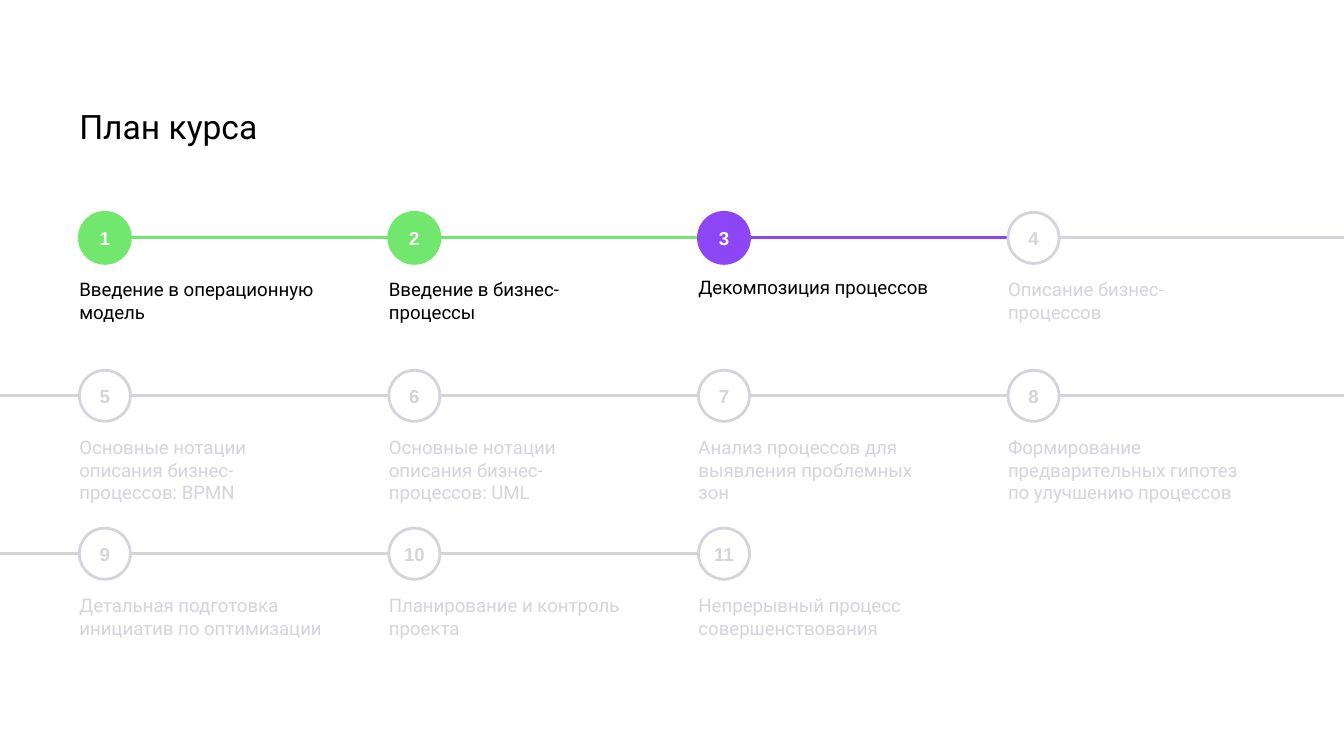
from dataclasses import dataclass

from lxml.etree import SubElement
from pptx import Presentation
from pptx.dml.color import RGBColor
from pptx.enum.shapes import MSO_CONNECTOR, MSO_SHAPE
from pptx.enum.text import MSO_ANCHOR, PP_ALIGN
from pptx.oxml.ns import qn
from pptx.util import Inches, Pt

BLACK, WHITE = "000000", "FFFFFF"
GREEN, PURPLE, GRAY = "71E76E", "8D46F6", "D4D4DD"
SLIDE_W = 10
SLIDE_H = SLIDE_W * 9 / 16
LEFT, RIGHT_COLUMN, COLUMNS = 0.59, 7.5, 4
COLUMN_STEP = (RIGHT_COLUMN - LEFT) / (COLUMNS - 1)
TOP, BOTTOM_ROW, ROWS = 1.58, 3.93, 3
ROW_STEP = (BOTTOM_ROW - TOP) / (ROWS - 1)
DIAMETER, LABEL_DROP = 0.38, 0.39


@dataclass(frozen=True)
class Status:
    fill: str
    line: str
    number: str
    label: str


@dataclass(frozen=True)
class Step:
    title: str
    status: Status


DONE = Status(GREEN, GREEN, WHITE, BLACK)
CURRENT = Status(PURPLE, PURPLE, WHITE, BLACK)
PLANNED = Status(WHITE, GRAY, GRAY, GRAY)

STEPS = [
    Step("Введение в операционную модель", DONE),
    Step("Введение в бизнес-процессы", DONE),
    Step("Декомпозиция процессов", CURRENT),
    Step("Описание бизнес-процессов", PLANNED),
    Step("Основные нотации описания бизнес-процессов: BPMN", PLANNED),
    Step("Основные нотации описания бизнес-процессов: UML", PLANNED),
    Step("Анализ процессов для выявления проблемных зон", PLANNED),
    Step("Формирование предварительных гипотез по улучшению процессов", PLANNED),
    Step("Детальная подготовка инициатив по оптимизации", PLANNED),
    Step("Планирование и контроль проекта", PLANNED),
    Step("Непрерывный процесс совершенствования", PLANNED),
]


def rgb(color: str) -> RGBColor:
    return RGBColor.from_string(color)


def set_text(sp, text: str, color: str, font: dict, frame: dict, align=PP_ALIGN.LEFT) -> None:
    tf = sp.text_frame
    frame_format = {
        "word_wrap": True, "vertical_anchor": MSO_ANCHOR.TOP,
        "margin_left": 0, "margin_top": 0, "margin_right": 0, "margin_bottom": 0,
    } | frame
    for name, value in frame_format.items():
        setattr(tf, name, value)
    p = tf.paragraphs[0]
    p.alignment = align
    r = p.add_run()
    r.text = text
    for name, value in font.items():
        setattr(r.font, name, value)
    r.font.color.rgb = rgb(color)


def add_title(s, text: str) -> None:
    sp = s.shapes.title
    box = {"left": LEFT, "top": 0.79, "width": 8.82, "height": 0.35}
    for name, value in box.items():
        setattr(sp, name, Inches(value))
    set_text(sp, text, BLACK, {"name": "Roboto", "size": Pt(18)}, {})


def add_line(s, x1: float, x2: float, y: float, color: str) -> None:
    line = s.shapes.add_connector(
        MSO_CONNECTOR.STRAIGHT, Inches(x1), Inches(y), Inches(x2), Inches(y)
    )
    line.line.color.rgb = rgb(color)
    line.line.width = Pt(1.5)
    SubElement(line._element.spPr, qn("a:effectLst"))


def add_circle(s, x: float, y: float, number: int, status: Status) -> None:
    sp = s.shapes.add_shape(
        MSO_SHAPE.OVAL, Inches(x), Inches(y), Inches(DIAMETER), Inches(DIAMETER)
    )
    sp.shadow.inherit = False
    sp.fill.solid()
    sp.fill.fore_color.rgb = rgb(status.fill)
    sp.line.color.rgb = rgb(status.line)
    sp.line.width = Pt(1.5)
    font = {"name": "Arial", "size": Pt(10), "bold": True}
    frame = {"vertical_anchor": MSO_ANCHOR.MIDDLE, "word_wrap": False}
    set_text(sp, str(number), status.number, font, frame, PP_ALIGN.CENTER)


def add_label(s, x: float, y: float, step: Step) -> None:
    sp = s.shapes.add_textbox(Inches(x), Inches(y), Inches(1.91), Inches(0.37))
    pad = Inches(0.1)
    frame = {"margin_top": pad, "margin_right": pad, "margin_bottom": pad}
    font = {"name": "Roboto", "size": Pt(10)}
    set_text(sp, step.title, step.status.label, font, frame)


def add_step(s, index: int, step: Step) -> None:
    row, column = divmod(index, COLUMNS)
    x, y = LEFT + column * COLUMN_STEP, TOP + row * ROW_STEP
    middle = y + DIAMETER / 2
    if row and column == 0:
        add_line(s, 0, x, middle, step.status.line)
    if index < len(STEPS) - 1:
        end = SLIDE_W if column == COLUMNS - 1 else x + COLUMN_STEP
        add_line(s, x + DIAMETER, end, middle, step.status.line)
    add_circle(s, x, y, index + 1, step.status)
    add_label(s, x, y + LABEL_DROP, step)


def main() -> None:
    prs = Presentation()
    prs.slide_width, prs.slide_height = Inches(SLIDE_W), Inches(SLIDE_H)
    s = prs.slides.add_slide(prs.slide_layouts[5])
    add_title(s, "План курса")
    for index, step in enumerate(STEPS):
        add_step(s, index, step)
    prs.save("out.pptx")


if __name__ == "__main__":
    main()
